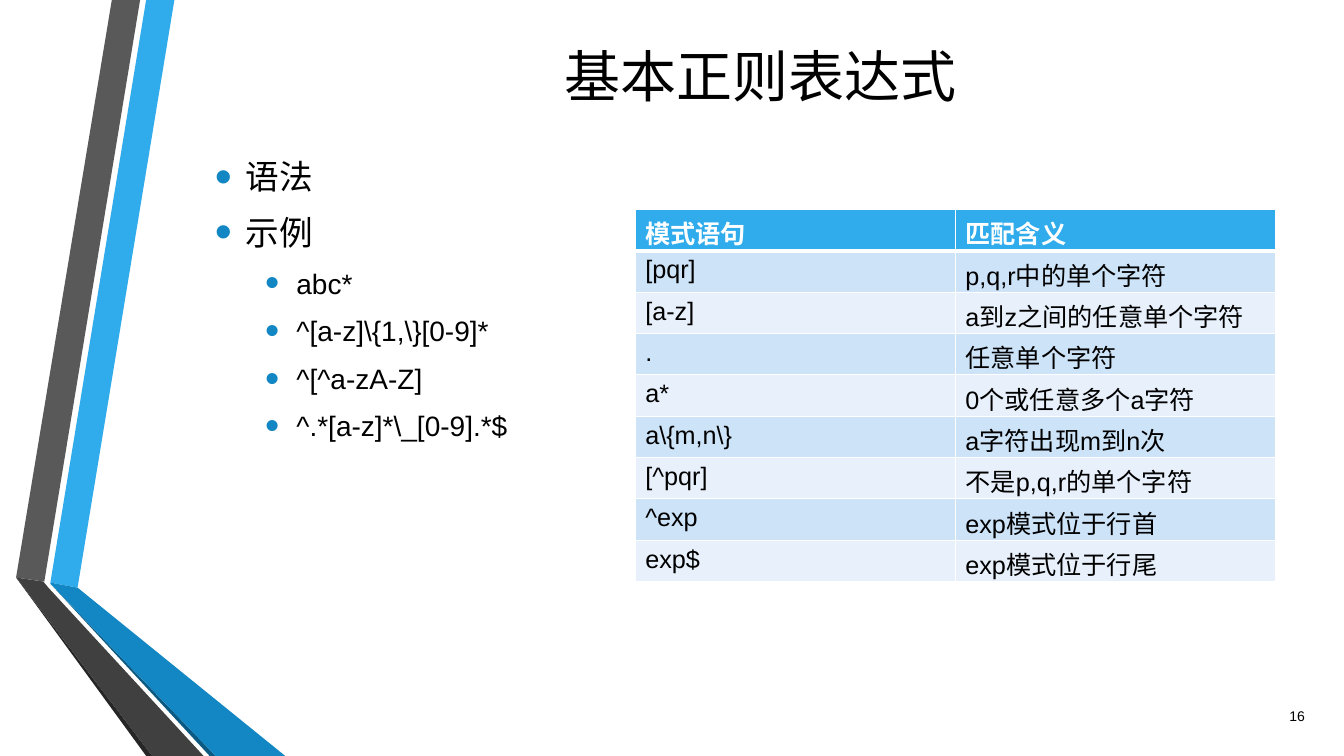
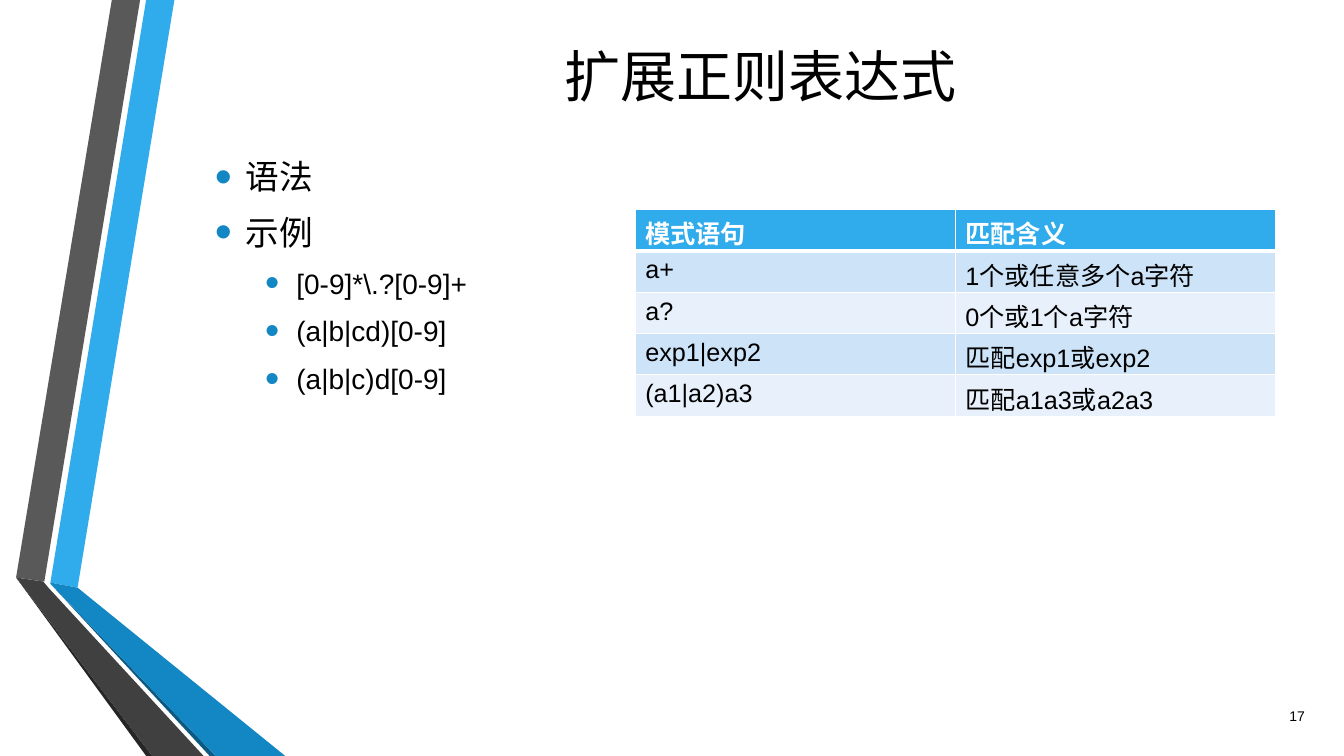
"""Build two slides on basic and extended regular expressions."""
from lxml.etree import SubElement
from pptx import Presentation
from pptx.dml.color import RGBColor
from pptx.enum.text import MSO_ANCHOR, PP_ALIGN
from pptx.oxml.ns import qn
from pptx.util import Inches, Pt

FONT = "Arial"
COLORS = {
    "black": "000000", "white": "FFFFFF",
    "sky": "30ACEC", "blue": "1287C3", "navy": "0C5A82",
    "gray": "595959", "dark": "404040", "coal": "262626",
    "odd": "CDE3F8", "even": "E8F1FB",
}
BANDS = [
    ("sky", [(0.5, 5.78), (0.77, 5.83), (1.73, 0), (1.45, 0)]),
    ("gray", [(1.39, 0), (1.11, 0), (0.16, 5.73), (0.44, 5.77)]),
    ("coal", [(0.16, 5.73), (1.45, 7.5), (1.51, 7.5)]),
    ("navy", [(0.5, 5.79), (2.08, 7.5), (2.14, 7.5)]),
    ("blue", [(0.5, 5.79), (2.14, 7.5), (2.83, 7.5), (0.77, 5.83), (0.5, 5.78)]),
    ("dark", [(2.02, 7.5), (0.48, 5.83), (0.43, 5.77), (0.16, 5.73), (1.51, 7.5)]),
]
HEAD = ("模式语句", "匹配含义")
PAGES = [
    (16, "基本正则表达式",
     ["abc*", r"^[a-z]\{1,\}[0-9]*", "^[^a-zA-Z]", r"^.*[a-z]*\_[0-9].*$"],
     [("[pqr]", "p,q,r中的单个字符"),
      ("[a-z]", "a到z之间的任意单个字符"),
      (".", "任意单个字符"),
      ("a*", "0个或任意多个a字符"),
      (r"a\{m,n\}", "a字符出现m到n次"),
      ("[^pqr]", "不是p,q,r的单个字符"),
      ("^exp", "exp模式位于行首"),
      ("exp$", "exp模式位于行尾")]),
    (17, "扩展正则表达式",
     [r"[0-9]*\.?[0-9]+", "(a|b|cd)[0-9]", "(a|b|c)d[0-9]"],
     [("a+", "1个或任意多个a字符"),
      ("a?", "0个或1个a字符"),
      ("exp1|exp2", "匹配exp1或exp2"),
      ("(a1|a2)a3", "匹配a1a3或a2a3")]),
]


def style(para, size, color="black", bold=False):
    """Format every run of a paragraph."""
    for run in para.runs:
        run.font.name = FONT
        run.font.size = Pt(size)
        run.font.bold = bold
        run.font.color.rgb = RGBColor.from_string(COLORS[color])


def edge(cell, side, width):
    """Draw one white border of a cell."""
    line = SubElement(cell._tc.get_or_add_tcPr(), qn(f"a:{side}"), w=str(Pt(width)))
    fill = SubElement(line, qn("a:solidFill"))
    SubElement(fill, qn("a:srgbClr"), val=COLORS["white"])


prs = Presentation()
prs.slide_width, prs.slide_height = Inches(13.33), Inches(7.5)
layout = prs.slide_layouts[1]
for holder, top, height in zip(layout.placeholders, (0.26, 1.35), (0.98, 5.41)):
    holder.left, holder.top = Inches(2.03), Inches(top)
    holder.width, holder.height = Inches(11.02), Inches(height)

slides = [prs.slides.add_slide(layout) for page in PAGES]

for spot, (color, points) in enumerate(BANDS, 2):
    first, *rest = [(Inches(x), Inches(y)) for x, y in points]
    pen = slides[0].shapes.build_freeform(*first)
    pen.add_line_segments(rest, close=True)
    band = pen.convert_to_shape()
    band.shadow.inherit = False
    band.fill.solid()
    band.fill.fore_color.rgb = RGBColor.from_string(COLORS[color])
    band.line.fill.background()
    layout.shapes.element.insert(spot, band.element)

for slide, (number, title, samples, rules) in zip(slides, PAGES):
    slide.shapes.title.text_frame.text = title
    style(slide.shapes.title.text_frame.paragraphs[0], 40)

    frame = slide.placeholders[1].text_frame
    frame.margin_top = Inches(0.2)
    frame.text = "\n".join(["语法", "示例", *samples])
    for i, para in enumerate(frame.paragraphs):
        para.level = int(i > 1)
        para.space_after = Pt(6)
        style(para, 20 if para.level else 24)
        props = para._p.get_or_add_pPr()
        props.set("marL", str(Inches(0.31 + 0.5 * para.level)))
        props.set("indent", str(Inches(-0.31)))
        tint = SubElement(props, qn("a:buClr"))
        SubElement(tint, qn("a:srgbClr"), val=COLORS["blue"])
        SubElement(props, qn("a:buSzPct"), val="145000")
        SubElement(props, qn("a:buFont"), typeface=FONT)
        SubElement(props, qn("a:buChar"), char="•")

    box = slide.shapes.add_textbox(Inches(12.44), Inches(6.9), Inches(0.6), Inches(0.4))
    frame = box.text_frame
    frame.word_wrap = True
    frame.vertical_anchor = MSO_ANCHOR.MIDDLE
    frame.text = str(number)
    frame.paragraphs[0].alignment = PP_ALIGN.RIGHT
    style(frame.paragraphs[0], 10)

    rows = [HEAD, *rules]
    table = slide.shapes.add_table(
        len(rows), 2, Inches(6.3), Inches(2.08),
        Inches(6.35), Inches(0.41 * len(rows))).table
    for r, row in enumerate(rows):
        fill = "sky" if r == 0 else "odd" if r % 2 else "even"
        for c, text in enumerate(row):
            cell = table.cell(r, c)
            for side in ("lnL", "lnR", "lnT", "lnB"):
                thick = (r, side) in ((0, "lnB"), (1, "lnT"))
                edge(cell, side, 3 if thick else 1)
            cell.fill.solid()
            cell.fill.fore_color.rgb = RGBColor.from_string(COLORS[fill])
            cell.text_frame.text = text
            style(cell.text_frame.paragraphs[0], 18,
                  "black" if r else "white", r == 0)

prs.save("out.pptx")
